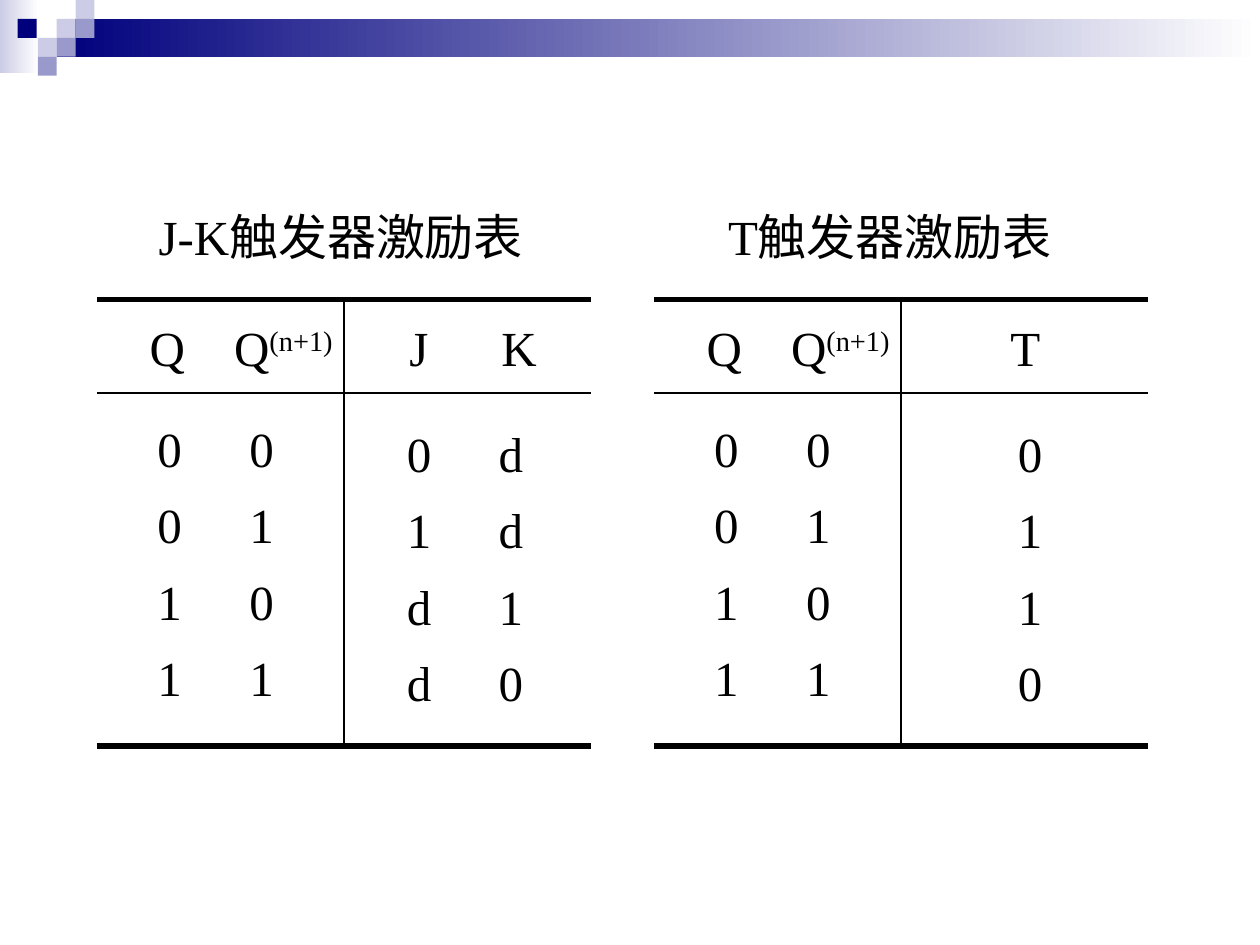
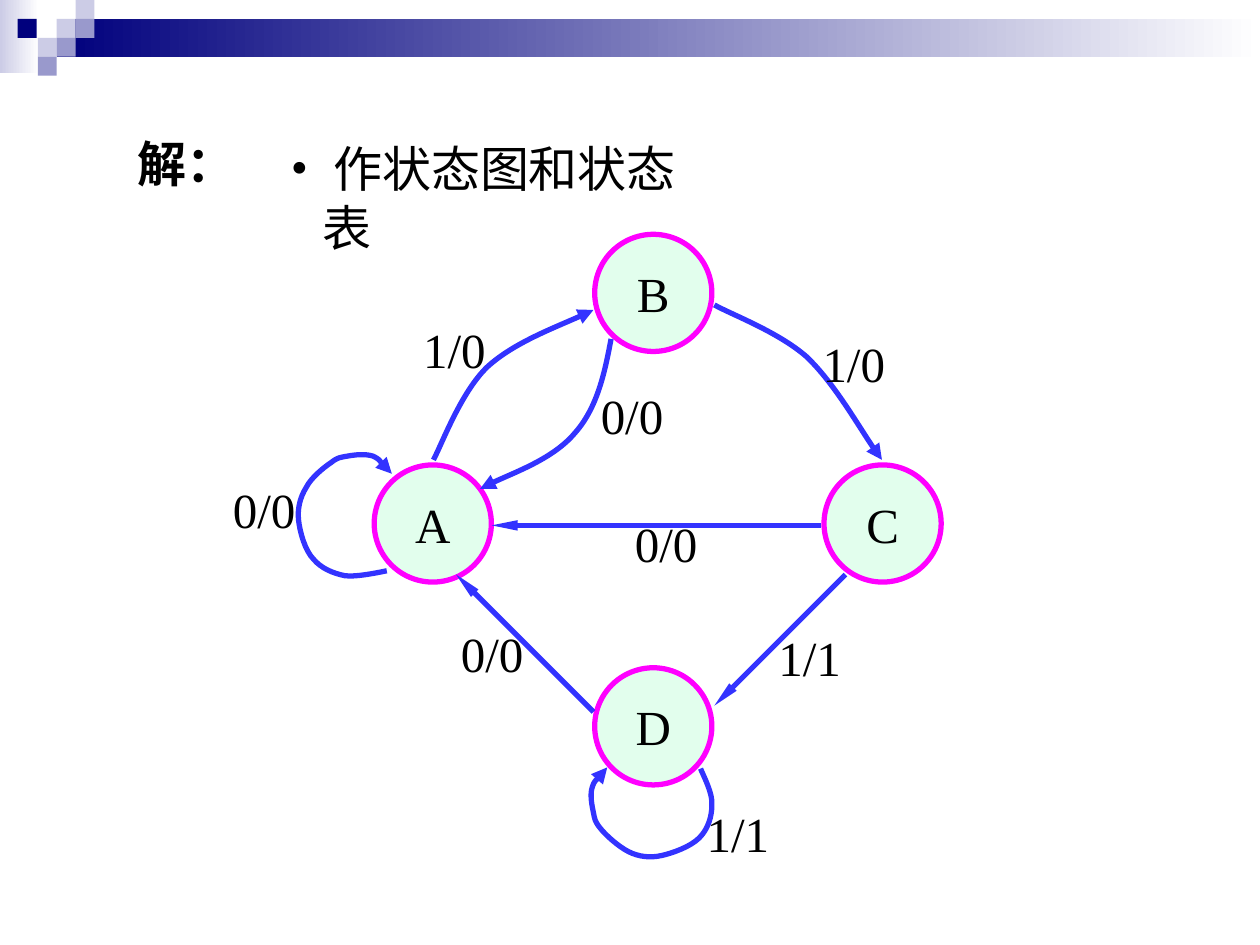
from itertools import product

from lxml.etree import SubElement
from pptx import Presentation
from pptx.dml.color import RGBColor
from pptx.enum.shapes import MSO_CONNECTOR as CONN, MSO_SHAPE as SHAPE
from pptx.enum.text import MSO_ANCHOR as ANCHOR, MSO_AUTO_SIZE as FIT, PP_ALIGN as ALIGN
from pptx.oxml.ns import qn
from pptx.util import Emu, Pt

PX = 9144  # 100 px to the inch
COLORS = {"navy": "00007D", "mid": "9999CC", "pale": "CCCCE6", "white": "FFFFFF",
          "black": "000000", "mint": "E2FEED", "magenta": "FF00FF", "blue": "3333FF"}
TEXT = {"name": "Times New Roman", "size": Pt(28)}
SQUARE, NODE = 15, 93
TEXT_H, ROWS_H = 57, 253
PAIR_W, LABEL_W = 125, 93


def px(*values):
    return [Emu(v * PX) for v in values]


def rgb(name):
    return RGBColor.from_string(COLORS[name])


def set_line(shape, color, width):
    shape.line.fill.solid()
    shape.line.fill.fore_color.rgb = rgb(color)
    shape.line.width = Pt(width)


def add_arrowhead(shape, w="med", length="med"):
    SubElement(shape.line._get_or_add_ln(), qn("a:tailEnd"), type="triangle", w=w, len=length)


def add_run(p, text, **extra):
    r = p.add_run()
    r.text = text
    r.font.color.rgb = rgb("black")
    for key, value in {**TEXT, **extra}.items():
        setattr(r.font, key, value)
    return r


def add_text(s, box, lines, tab=None, spacing=None, **font):
    tf = s.shapes.add_textbox(*px(*box)).text_frame
    for key, value in {"word_wrap": True, "auto_size": FIT.SHAPE_TO_FIT_TEXT}.items():
        setattr(tf, key, value)
    for i, line in enumerate(lines):
        p = tf.paragraphs[0] if i == 0 else tf.add_paragraph()
        if spacing:
            p.line_spacing = spacing
        if tab:
            tabs = SubElement(p._p.get_or_add_pPr(), qn("a:tabLst"))
            SubElement(tabs, qn("a:tab"), pos=str(tab * PX), algn="l")
        add_run(p, line, **font)
    return tf.paragraphs[0]


def add_bullet(p, indent):
    pPr = p._p.get_or_add_pPr()
    pPr.set("marL", str(indent * PX))
    pPr.set("indent", str(-indent * PX))
    SubElement(pPr, qn("a:buFont"), typeface=TEXT["name"])
    SubElement(pPr, qn("a:buChar"), char="•")


def add_rule(s, start, end, color, width):
    c = s.shapes.add_connector(CONN.STRAIGHT, *px(*start, *end))
    set_line(c, color, width)
    SubElement(c._element.spPr, qn("a:effectLst"))
    return c


def add_box(s, box, *colors):
    """Rectangle without outline; two colours make a left-to-right gradient."""
    sp = s.shapes.add_shape(SHAPE.RECTANGLE, *px(*box))
    sp.shadow.inherit = False
    sp.line.fill.background()
    if len(colors) == 1:
        sp.fill.solid()
        sp.fill.fore_color.rgb = rgb(colors[0])
    else:
        sp.fill.gradient()
        sp.fill.gradient_angle = 0
        for stop, color in zip(sp.fill.gradient_stops, colors):
            stop.color.rgb = rgb(color)


def add_header_band(s):
    add_box(s, (0, 0, 31, 58), "pale", "white")
    add_box(s, (45, 15, 955, 30), "navy", "white")
    for x, y, color in [(45, 15, "pale"), (60, 0, "pale"), (60, 15, "mid"), (30, 30, "pale"),
                        (14, 15, "navy"), (45, 30, "mid"), (30, 45, "mid")]:
        add_box(s, (x, y, SQUARE, SQUARE), color)


def add_excitation_table(s, left, title, title_x, inputs, inputs_x, rows, rows_x):
    """Ruled table; the x offsets count from the table's left."""
    right, middle, top, bottom = left + 392, left + 196, 238, 592
    for y, width in [(top, 3), (bottom, 3), (312, 1.5)]:
        add_rule(s, (left, y), (right, y), "black", width)
    add_rule(s, (middle, top), (middle, bottom), "black", 1.5)

    def column(x, y, w, h, lines, **fmt):
        return add_text(s, (left + x, y, w, h), lines, **fmt)

    states = [f"{q}\t{q_next}" for q, q_next in product((0, 1), repeat=2)]
    column(title_x, 159, 335, TEXT_H, [title])
    p = column(32, 247, 170, TEXT_H, ["Q\tQ"], tab=67)
    add_run(p, "(n+1)").font._element.set("baseline", "30000")
    column(inputs_x, 247, PAIR_W, TEXT_H, [inputs], tab=73)
    column(38, 313, PAIR_W, ROWS_H, states, tab=73, spacing=1.3)
    column(rows_x, 317, PAIR_W, ROWS_H, rows, tab=73, spacing=1.3)


def add_node(s, name, x, y):
    sp = s.shapes.add_shape(SHAPE.OVAL, *px(x, y, NODE, NODE))
    sp.shadow.inherit = False
    sp.fill.solid()
    sp.fill.fore_color.rgb = rgb("mint")
    set_line(sp, "magenta", 3)
    tf = sp.text_frame
    for key, value in {"word_wrap": False, "vertical_anchor": ANCHOR.MIDDLE}.items():
        setattr(tf, key, value)
    p = tf.paragraphs[0]
    p.alignment = ALIGN.CENTER
    add_run(p, name)


def add_curve(s, points):
    """Arrow along cubic Bézier segments: a start, then three points for each segment."""
    builder = s.shapes.build_freeform(*points[0], scale=PX)
    builder.add_line_segments(points[1:], close=False)
    sp = builder.convert_to_shape()
    sp.shadow.inherit = False
    sp.fill.background()
    set_line(sp, "blue", 3)
    add_arrowhead(sp)
    route = next(sp._element.iter(qn("a:moveTo"))).getparent()
    legs = route.findall(qn("a:lnTo"))
    for i in range(0, len(legs), 3):
        bezier = SubElement(route, qn("a:cubicBezTo"))
        for leg in legs[i:i + 3]:
            bezier.append(leg[0])
            route.remove(leg)


def add_straight_arrow(s, start, end):
    add_arrowhead(add_rule(s, start, end, "blue", 3), "sm", "lg")


def excitation_slide(s):
    add_excitation_table(s, 77, "J-K触发器激励表", 39, "J\tK", 238,
                         ["0\td", "1\td", "d\t1", "d\t0"], 236)
    add_excitation_table(s, 519, "T触发器激励表", 49, "T", 273, ["0", "1", "1", "0"], 279)


def state_diagram_slide(s):
    add_text(s, (99, 101, 105, TEXT_H), ["解："], bold=True)
    add_bullet(add_text(s, (221, 105, 354, TEXT_H), [" 作状态图和状态表"]), 25)

    for name, x, y in [("A", 297, 369), ("B", 472, 186), ("C", 654, 369), ("D", 472, 530)]:
        add_node(s, name, x, y)

    a_to_a = [(307, 453), (302, 454), (284, 458), (274, 457), (264, 455), (255, 451), (249, 444),
              (242, 437), (238, 422), (237, 413), (236, 404), (238, 395), (243, 387),
              (247, 379), (257, 371), (263, 367), (268, 363), (270, 363), (276, 362),
              (281, 361), (290, 360), (296, 362), (302, 365), (308, 374), (311, 376)]
    b_to_a = [(485, 269), (480, 296), (474, 324), (456, 344), (439, 364), (393, 381), (381, 388)]
    a_to_b = [(344, 365), (351, 352), (366, 311), (387, 291), (408, 272), (453, 255), (471, 246)]
    b_to_c = [(567, 242), (579, 249), (617, 263), (640, 283), (662, 304), (687, 348), (700, 365)]
    d_to_d = [(556, 610), (558, 615), (566, 630), (565, 639), (565, 648), (562, 658), (555, 665),
              (548, 672), (534, 677), (525, 679), (516, 681), (507, 680), (499, 676),
              (491, 672), (481, 663), (477, 658), (472, 652), (472, 650), (471, 645),
              (470, 640), (468, 631), (470, 625), (472, 619), (480, 612), (482, 609)]
    for curve in (a_to_a, b_to_a, a_to_b, b_to_c, d_to_d):
        add_curve(s, curve)

    for start, end in [((471, 565), (362, 456)), ((652, 417), (390, 417)),
                       ((671, 456), (567, 560))]:
        add_straight_arrow(s, start, end)

    for label, x, y in [("0/0", 175, 376), ("0/0", 356, 490), ("0/0", 494, 403),
                        ("0/0", 467, 301), ("1/0", 326, 249), ("1/1", 608, 493),
                        ("1/1", 551, 633), ("1/0", 643, 260)]:
        add_text(s, (x, y, LABEL_W, TEXT_H), [label])


def main():
    prs = Presentation()
    prs.slide_width, prs.slide_height = px(1000, 750)
    for fill_slide in (excitation_slide, state_diagram_slide):
        s = prs.slides.add_slide(prs.slide_layouts[6])
        add_header_band(s)
        fill_slide(s)
    prs.save("out.pptx")


if __name__ == "__main__":
    main()
